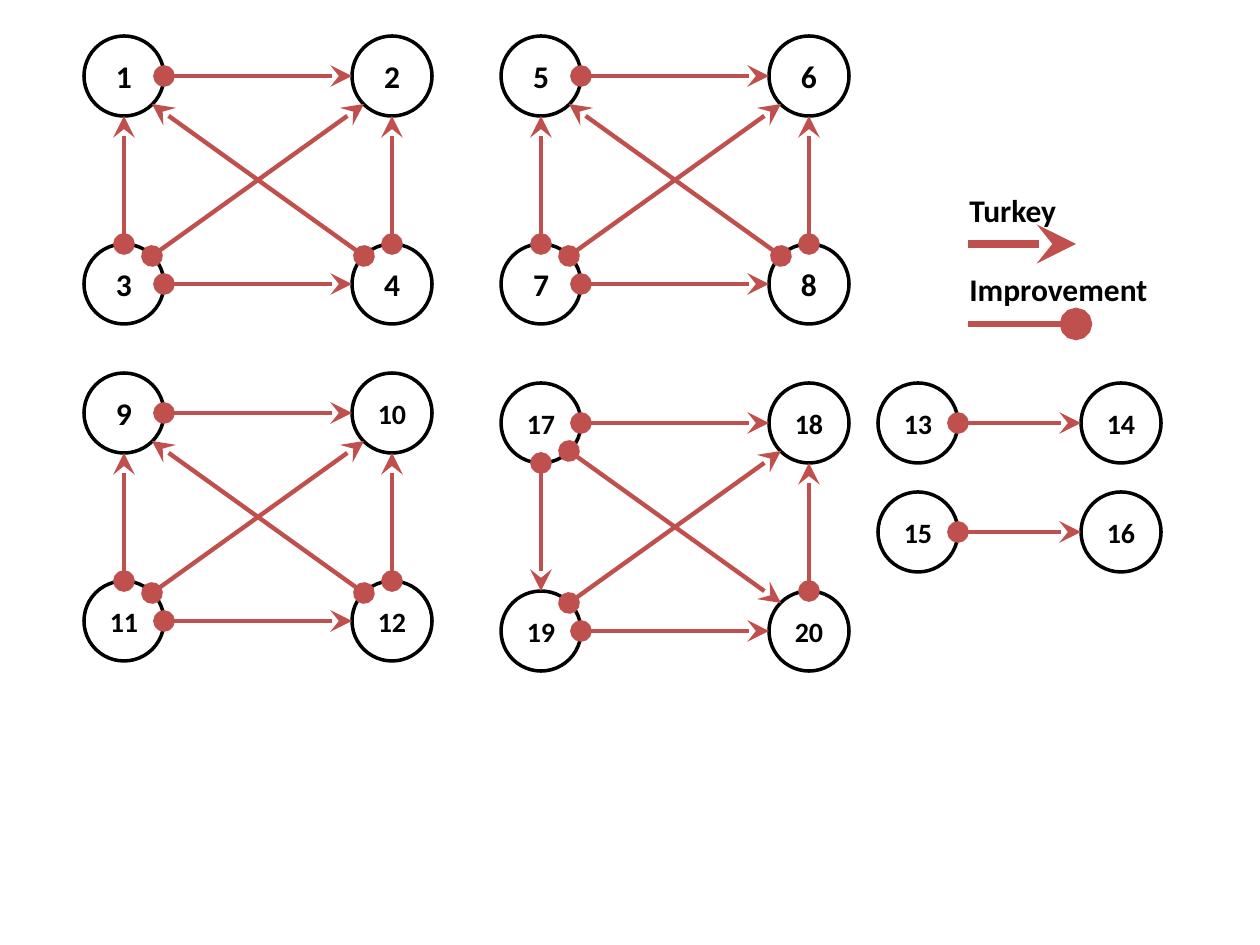
"""Build a slide of numbered node graphs joined by arrows, with a legend."""
from lxml.etree import SubElement
from pptx import Presentation
from pptx.dml.color import RGBColor
from pptx.enum.shapes import MSO_CONNECTOR as Link, MSO_SHAPE as Shape
from pptx.enum.text import MSO_ANCHOR as Anchor, PP_ALIGN as Align
from pptx.oxml.ns import qn
from pptx.util import Emu, Pt

PX = 914400 / 126
RED = "C0504D"
RAD, DIAG = 40, 28


def tint(code):
    return RGBColor.from_string(code)


def join(start, end, width, **tips):
    line = slide.shapes.add_connector(
        Link.STRAIGHT, *(Emu(round(v * PX)) for v in (*start, *end)))
    line.line.color.rgb = tint(RED)
    line.line.width = Pt(width)
    for tag, kind in tips.items():
        SubElement(line.line._ln, qn(f"a:{tag}"), type=kind, w="lg", len="lg")
    SubElement(line._element.spPr, qn("a:effectLst"))


deck = Presentation()
deck.slide_width, deck.slide_height = Emu(9144000), Emu(6858000)
slide = deck.slides.add_slide(deck.slide_layouts[6])

cross = [(0, 1), (2, 0), (2, 1), (2, 3), (3, 0), (3, 1)]
turn = [(0, 1), (0, 2), (0, 3), (2, 1), (2, 3), (3, 1)]
groups = [
    (1, 4, 124, 76, 268, cross),
    (9, 4, 124, 413, 268, cross),
    (5, 4, 541, 76, 268, cross),
    (13, 2, 918, 423, 203, [(0, 1)]),
    (15, 2, 918, 532, 203, [(0, 1)]),
    (17, 4, 541, 423, 268, turn),
]
for first, count, left, top, gap, links in groups:
    spots = [(left + i % 2 * gap, top + i // 2 * 208) for i in range(count)]
    for num, (x, y) in enumerate(spots, first):
        box = (x - RAD, y - RAD, 2 * RAD, 2 * RAD)
        node = slide.shapes.add_shape(
            Shape.OVAL, *(Emu(round(v * PX)) for v in box))
        node.shadow.inherit = False
        node.fill.solid()
        node.fill.fore_color.rgb = tint("FFFFFF")
        node.line.color.rgb = tint("000000")
        node.line.width = Pt(2)
        frame = node.text_frame
        frame.margin_left = frame.margin_right = 0
        frame.vertical_anchor = Anchor.MIDDLE
        para = frame.paragraphs[0]
        para.text = str(num)
        para.alignment = Align.CENTER
        para.font.name, para.font.bold = "Calibri", True
        para.font.size = Pt(18 if num < 10 else 16)
        para.font.color.rgb = tint("000000")
    for a, b in links:
        (x1, y1), (x2, y2) = spots[a], spots[b]
        dx, dy = (x2 > x1) - (x2 < x1), (y2 > y1) - (y2 < y1)
        off = DIAG if dx and dy else RAD
        join((x1 + dx * off, y1 + dy * off), (x2 - dx * off, y2 - dy * off),
             2.5, headEnd="oval", tailEnd="stealth")

for name, top, wide, line, width, tip in [
        ("Turkey", 185, 113, 244, 4.5, "stealth"),
        ("Improvement", 264, 204, 324, 3.75, "oval")]:
    join((968, line), (1076, line), width, tailEnd=tip)
    label = slide.shapes.add_textbox(
        *(Emu(round(v * PX)) for v in (957, top, wide, 50)))
    label.text_frame.word_wrap = False
    para = label.text_frame.paragraphs[0]
    para.text = name
    para.font.name, para.font.size, para.font.bold = "Calibri", Pt(18), True
    para.font.color.rgb = tint("000000")

deck.save("out.pptx")
